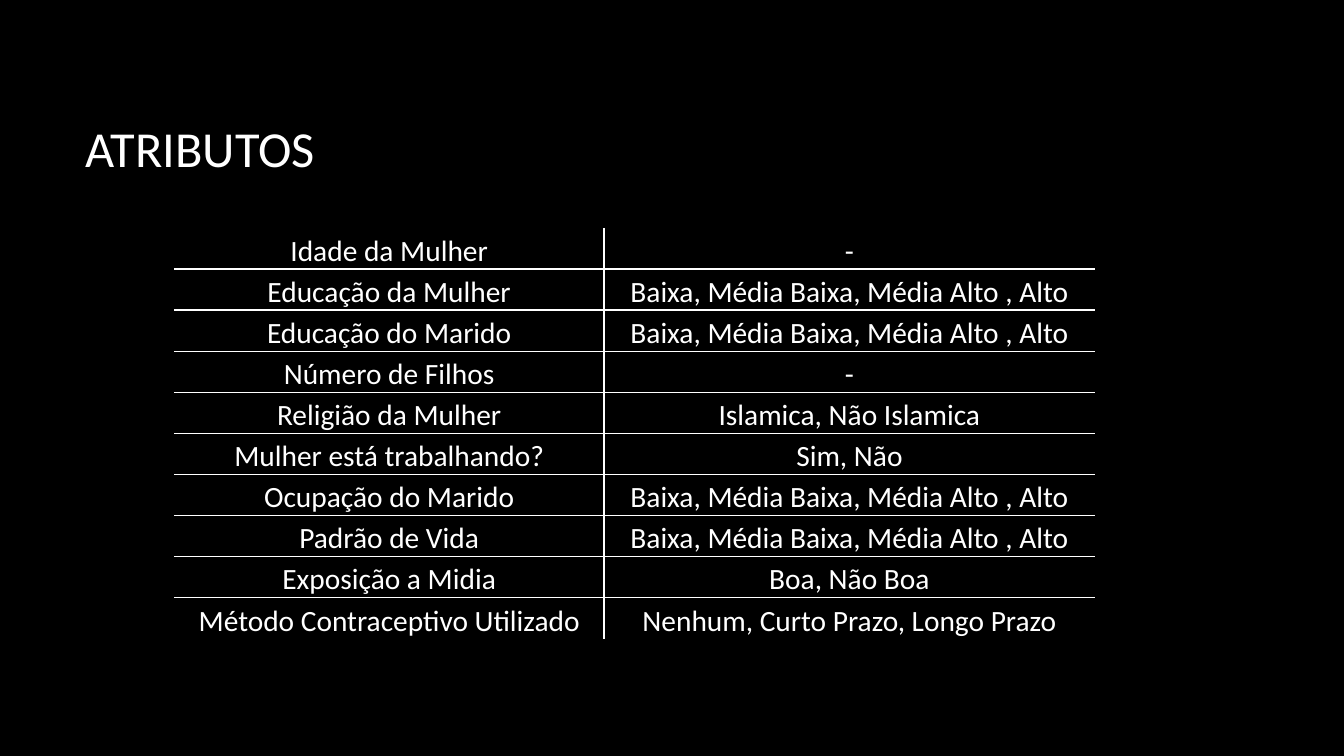
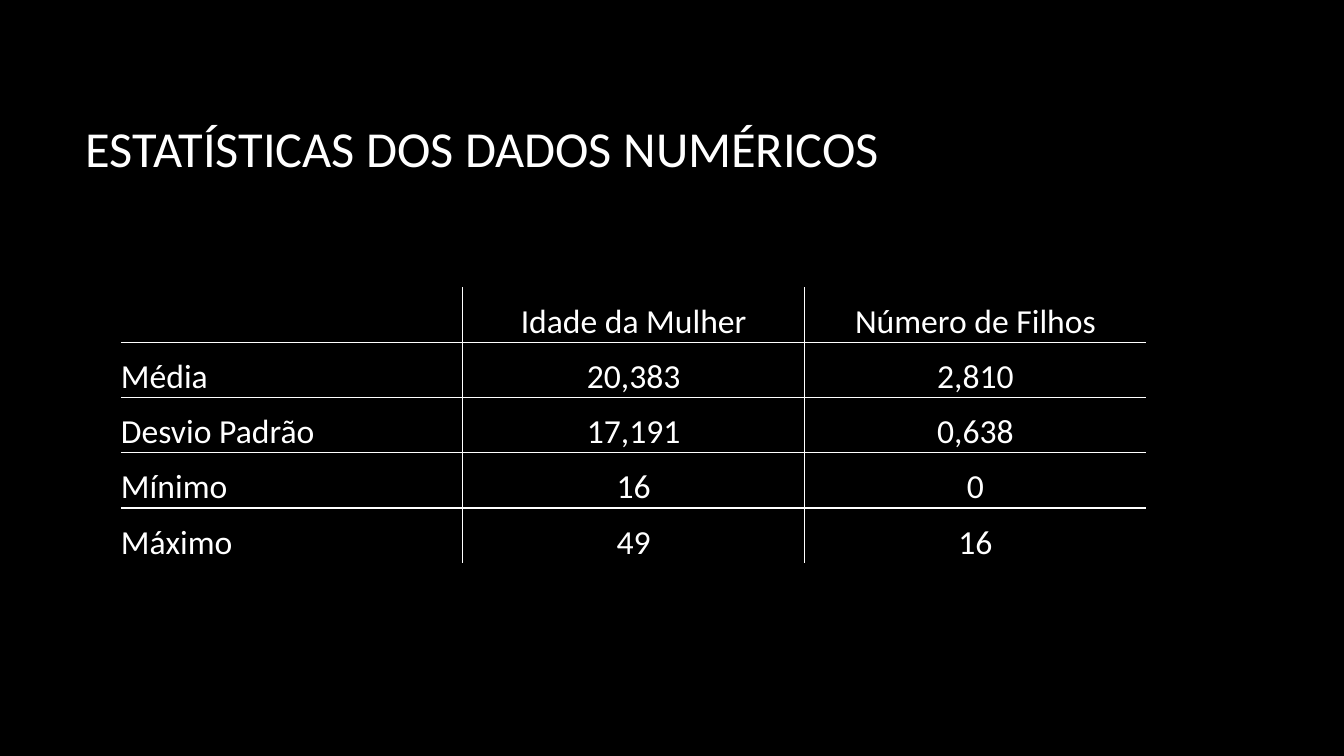
from dataclasses import dataclass

from lxml.etree import SubElement
from pptx import Presentation
from pptx.dml.color import RGBColor
from pptx.enum.text import MSO_ANCHOR, PP_ALIGN
from pptx.oxml.ns import qn
from pptx.util import Inches, Pt

# Content
LEVELS = "Baixa, Média Baixa, Média Alto , Alto"
SLIDES = [
    {
        "title": "ATRIBUTOS",
        "rows": [
            ("Idade da Mulher", "-"),
            ("Educação da Mulher", LEVELS),
            ("Educação do Marido", LEVELS),
            ("Número de Filhos", "-"),
            ("Religião da Mulher", "Islamica, Não Islamica"),
            ("Mulher está trabalhando?", "Sim, Não"),
            ("Ocupação do Marido", LEVELS),
            ("Padrão de Vida", LEVELS),
            ("Exposição a Midia", "Boa, Não Boa"),
            ("Método Contraceptivo Utilizado", "Nenhum, Curto Prazo, Longo Prazo"),
        ],
        "left": 1.73, "top": 2.26, "widths": (4.26, 4.87), "height": 4.08,
        "size": 21, "inset": 0.02, "label_align": PP_ALIGN.CENTER,
    },
    {
        "title": "ESTATÍSTICAS DOS DADOS NUMÉRICOS",
        "rows": [
            ("", "Idade da Mulher", "Número de Filhos"),
            ("Média", "20,383", "2,810"),
            ("Desvio Padrão", "17,191", "0,638"),
            ("Mínimo", "16", "0"),
            ("Máximo", "49", "16"),
        ],
        "left": 1.2, "top": 2.85, "widths": (3.39,) * 3, "height": 2.74,
        "size": 24, "inset": 0, "label_align": PP_ALIGN.LEFT,
    },
]


@dataclass(frozen=True)
class Theme:
    background: str = "000000"
    ink: str = "FFFFFF"
    font: str = "Calibri"
    title_size: int = 36
    line_width: int = 1


THEME = Theme()
TITLE_BOX = (0.75, 0.67, 11.08, 1.59)
NO_GRID_STYLE = "{2D5ABB26-0587-4C30-8999-92F81FD0307C}"


def write(frame, text, size, align):
    para = frame.paragraphs[0]
    para.alignment = align
    span = para.add_run()
    span.text = text
    span.font.name = THEME.font
    span.font.size = Pt(size)
    span.font.color.rgb = RGBColor.from_string(THEME.ink)


def set_borders(cell, visible):
    """Draw the visible sides and clear the others."""
    properties = cell._tc.get_or_add_tcPr()
    for side in "LRTB":
        line = SubElement(properties, qn(f"a:ln{side}"), w=str(Pt(THEME.line_width)))
        if visible[side]:
            fill = SubElement(line, qn("a:solidFill"))
            SubElement(fill, qn("a:srgbClr"), val=THEME.ink)
        else:
            SubElement(line, qn("a:noFill"))


def add_grid(page, content):
    rows, widths = content["rows"], content["widths"]
    frame = page.shapes.add_table(
        len(rows), len(widths), Inches(content["left"]), Inches(content["top"]),
        Inches(sum(widths)), Inches(content["height"]))
    table = frame.table
    table.first_row = table.horz_banding = False
    table._tbl.tblPr.find(qn("a:tableStyleId")).text = NO_GRID_STYLE
    for column, width in zip(table.columns, widths):
        column.width = Inches(width)
    for row in table.rows:
        row.height = Inches(content["height"] / len(rows))

    last_row, last_column = len(rows) - 1, len(widths) - 1
    for r, values in enumerate(rows):
        for c, value in enumerate(values):
            cell = table.cell(r, c)
            cell.margin_left = cell.margin_right = cell.margin_top = Inches(content["inset"])
            cell.margin_bottom = 0
            cell.vertical_anchor = MSO_ANCHOR.BOTTOM
            # Only the inner grid lines show
            set_borders(cell, {"L": c > 0, "R": c < last_column,
                               "T": r > 0, "B": r < last_row})
            cell.fill.background()
            if value:
                align = PP_ALIGN.CENTER if c else content["label_align"]
                write(cell.text_frame, value, content["size"], align)


def main():
    deck = Presentation()
    deck.slide_width, deck.slide_height = Inches(13.33), Inches(7.5)

    # Shared background and title position
    background = deck.slide_master.background.fill
    background.solid()
    background.fore_color.rgb = RGBColor.from_string(THEME.background)
    layout = deck.slide_layouts.get_by_name("Title Only")
    title_box = layout.placeholders[0]
    title_box.left, title_box.top, title_box.width, title_box.height = map(Inches, TITLE_BOX)
    title_box.text_frame.vertical_anchor = MSO_ANCHOR.MIDDLE

    # Slides
    for content in SLIDES:
        page = deck.slides.add_slide(layout)
        write(page.shapes.title.text_frame, content["title"], THEME.title_size, PP_ALIGN.LEFT)
        add_grid(page, content)
    deck.save("out.pptx")


if __name__ == "__main__":
    main()
